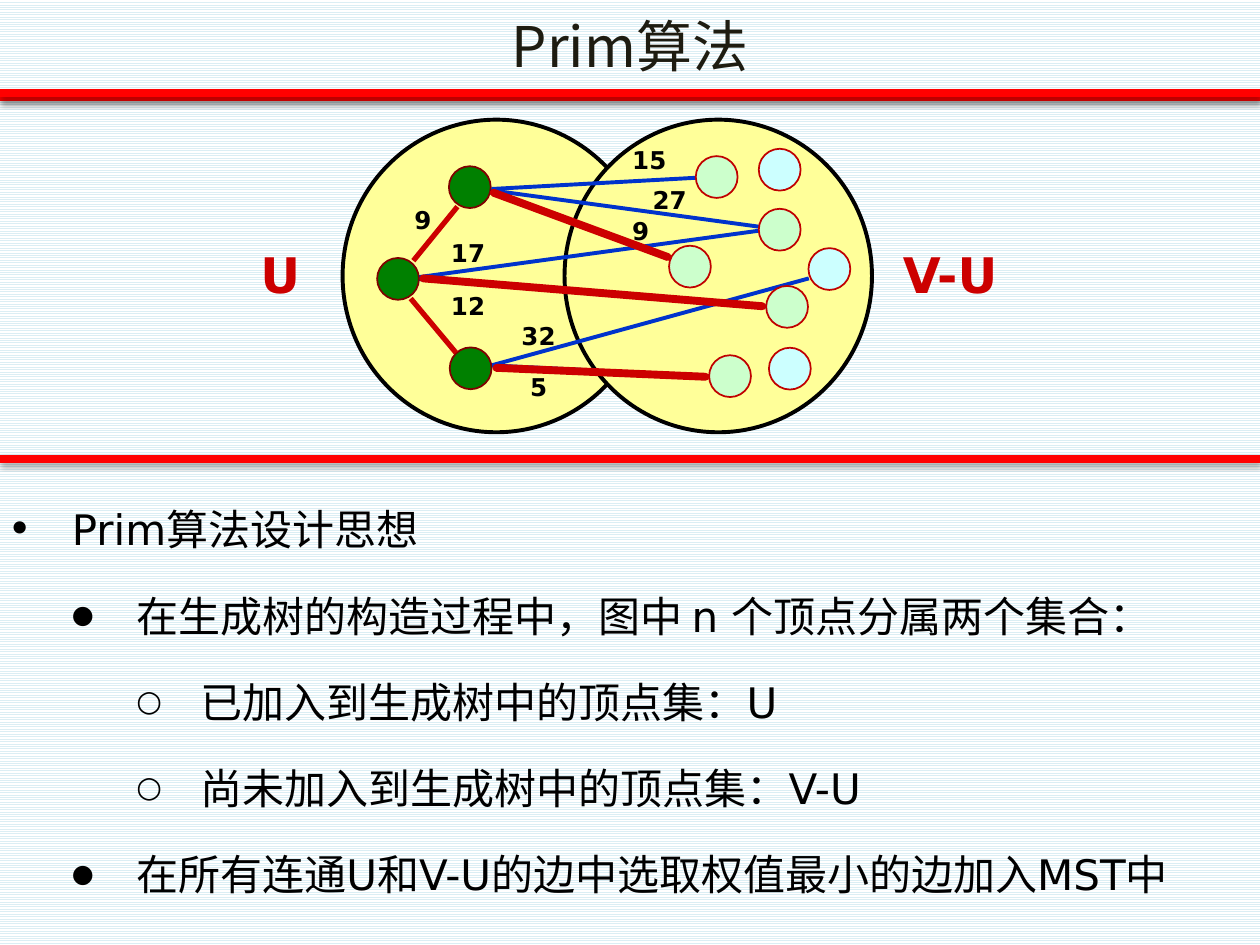
from lxml.etree import SubElement
from pptx import Presentation
from pptx.dml.color import RGBColor
from pptx.enum.dml import MSO_PATTERN
from pptx.enum.shapes import MSO_CONNECTOR, MSO_SHAPE
from pptx.enum.text import MSO_ANCHOR, MSO_AUTO_SIZE, PP_ALIGN
from pptx.oxml.ns import qn
from pptx.util import Pt

BLACK = RGBColor(0x00, 0x00, 0x00)
WHITE = RGBColor(0xFF, 0xFF, 0xFF)
STRIPE = RGBColor(0xDB, 0xEE, 0xF4)
TITLE_INK = RGBColor(0x1E, 0x1C, 0x11)
RULE_RED = RGBColor(0xFF, 0x00, 0x00)
EDGE_RED = RGBColor(0xCC, 0x00, 0x00)
EDGE_BLUE = RGBColor(0x00, 0x33, 0xCC)
SET_YELLOW = RGBColor(0xFF, 0xFF, 0x99)
TREE_GREEN = RGBColor(0x00, 0x80, 0x00)
TREE_RIM = RGBColor(0x80, 0x00, 0x00)
NEAR_GREEN = RGBColor(0xCC, 0xFF, 0xCC)
FAR_BLUE = RGBColor(0xCC, 0xFF, 0xFF)
OUTER_RIM = RGBColor(0xC0, 0x00, 0x00)

LATIN_FONT = "DejaVu Sans"
CJK_FONT = "Noto Sans CJK SC"
NODE_SIZE = 23.9
SET_SIZE = (175.7, 178.6)
INDENT = 36.8

TREE_NODES = [(256.5, 95), (215.5, 147.4), (257, 198.5)]
NEAR_NODES = [(437.8, 163.4), (382.3, 140.4), (405.2, 203),
              (397.6, 89.2), (433.6, 119.3)]
FAR_NODES = [(433.6, 85), (462, 141.8), (439.4, 198.7)]

CROSSING_EDGES = [
    (280.8, 108, 399.6, 101.5), (234, 159.1, 445, 175.7),
    (280.8, 208.8, 411.1, 215.3), (280.8, 208.8, 462.2, 159.1),
    (275, 108, 439.2, 130.3), (234, 159.1, 445, 130.3),
    (275, 108, 382.3, 147.6),
]
LIGHTEST_EDGES = [
    (241.9, 159.1, 435.6, 175), (282.2, 110.2, 381.6, 146.9),
    (283.7, 210.2, 403.2, 215.3),
]
TREE_EDGES = [(236.2, 149, 261.4, 118.1), (234.7, 170.6, 260.6, 201.6)]
WEIGHTS = [
    ("15", 354.2, 79.2), ("27", 365.8, 102.2), ("9", 354.2, 120.2),
    ("17", 250.6, 132.5), ("12", 250.6, 162.7), ("32", 290.9, 180),
    ("5", 295.9, 208.8), ("9", 229.7, 113.8),
]
# text, indent steps, bullet, bullet size in percent
IDEAS = [
    ("Prim算法设计思想", 1, "•", 100),
    ("在生成树的构造过程中，图中 n 个顶点分属两个集合：", 2, "●", 60),
    ("已加入到生成树中的顶点集：U", 3, "○", 70),
    ("尚未加入到生成树中的顶点集：V-U", 3, "○", 70),
    ("在所有连通U和V-U的边中选取权值最小的边加入MST中", 2, "●", 60),
]


def style_para(para, size, color, bold=False, font=LATIN_FONT):
    para.font.name = font
    para.font.size = Pt(size)
    para.font.bold = bold
    para.font.color.rgb = color
    latin = para._p.pPr.find(qn("a:defRPr")).find(qn("a:latin"))
    east_asian = latin.makeelement(qn("a:ea"), typeface=CJK_FONT)
    latin.addnext(east_asian)


def add_text_box(page, left, top, width, height):
    box = page.shapes.add_textbox(Pt(left), Pt(top), Pt(width), Pt(height))
    box.text_frame.word_wrap = True
    return box.text_frame


def add_heading(page, text, bounds, size, color, **style):
    """Add one centred line of text."""
    frame = add_text_box(page, *bounds)
    para = frame.paragraphs[0]
    para.text = text
    para.alignment = PP_ALIGN.CENTER
    style_para(para, size, color, **style)
    return frame


def add_weight(page, text, left, top):
    frame = add_text_box(page, left, top, 34.6 if len(text) > 1 else 24.5, 23.8)
    frame.word_wrap = False
    frame.auto_size = MSO_AUTO_SIZE.SHAPE_TO_FIT_TEXT
    frame.paragraphs[0].text = text
    style_para(frame.paragraphs[0], 14, BLACK, bold=True)


def add_circle(page, left, top, width, height, fill, rim, rim_width=1):
    circle = page.shapes.add_shape(
        MSO_SHAPE.OVAL, Pt(left), Pt(top), Pt(width), Pt(height))
    circle.shadow.inherit = False
    circle.fill.solid()
    circle.fill.fore_color.rgb = fill
    circle.line.color.rgb = rim
    circle.line.width = Pt(rim_width)


def add_nodes(page, places, fill, rim):
    for left, top in places:
        add_circle(page, left, top, NODE_SIZE, NODE_SIZE, fill, rim)


def add_line(page, ends, color, width, round_cap=False):
    """Add a straight line and return its empty effect list."""
    line = page.shapes.add_connector(
        MSO_CONNECTOR.STRAIGHT, *(Pt(value) for value in ends))
    line.line.color.rgb = color
    line.line.width = Pt(width)
    properties = line._element.spPr
    if round_cap:
        properties.find(qn("a:ln")).set("cap", "rnd")
    return SubElement(properties, qn("a:effectLst"))


def add_rule(page, top):
    """Add a red line across the page with a soft shadow below it."""
    effects = add_line(page, (0, top, 720, top), RULE_RED, 4.5)
    shadow = SubElement(
        effects, qn("a:outerShdw"), blurRad=str(Pt(3.1)), dist=str(Pt(1.8)),
        dir="5400000", rotWithShape="0")
    color = SubElement(shadow, qn("a:srgbClr"), val=str(BLACK))
    SubElement(color, qn("a:alpha"), val="35000")


def add_bullet(para, steps, symbol, percent):
    properties = para._p.get_or_add_pPr()
    properties.set("marL", str(Pt(INDENT * steps)))
    properties.set("indent", str(-Pt(INDENT)))
    color = SubElement(properties, qn("a:buClr"))
    SubElement(color, qn("a:srgbClr"), val=str(BLACK))
    SubElement(properties, qn("a:buSzPct"), val=str(percent * 1000))
    SubElement(properties, qn("a:buFont"), typeface=LATIN_FONT)
    SubElement(properties, qn("a:buChar"), char=symbol)


def add_ideas(page):
    frame = add_text_box(page, 4.3, 273.6, 705.6, 254.9)
    frame.margin_left = frame.margin_right = 0
    frame.margin_top = frame.margin_bottom = 0
    for index, (text, steps, symbol, percent) in enumerate(IDEAS):
        para = frame.add_paragraph() if index else frame.paragraphs[0]
        para.text = text
        para.level = steps - 1
        para.line_spacing = 1.5
        para.space_before = Pt(6 if index else 0)
        add_bullet(para, steps, symbol, percent)
        style_para(para, 24, BLACK)


def add_graph(page):
    for name, left, width in (("U", 133.2, 54), ("V-U", 493.2, 99.4)):
        add_heading(page, name, (left, 136.1, width, 36), 28, EDGE_RED, bold=True)
    for left in (195.8, 322.6):
        add_circle(page, left, 68.4, *SET_SIZE, SET_YELLOW, BLACK, 2.25)
    for ends in CROSSING_EDGES:
        add_line(page, ends, EDGE_BLUE, 2.25)
    add_nodes(page, TREE_NODES, TREE_GREEN, TREE_RIM)
    add_nodes(page, NEAR_NODES, NEAR_GREEN, OUTER_RIM)
    for ends in LIGHTEST_EDGES:
        add_line(page, ends, EDGE_RED, 4.5, round_cap=True)
    add_nodes(page, FAR_NODES, FAR_BLUE, OUTER_RIM)
    for ends in TREE_EDGES:
        add_line(page, ends, EDGE_RED, 3)
    for weight in WEIGHTS:
        add_weight(page, *weight)


def main():
    deck = Presentation()
    deck.slide_width, deck.slide_height = Pt(720), Pt(540)
    page = deck.slides.add_slide(deck.slide_layouts[6])
    backdrop = page.background.fill
    backdrop.patterned()
    backdrop.pattern = MSO_PATTERN.LIGHT_HORIZONTAL
    backdrop.fore_color.rgb = STRIPE
    backdrop.back_color.rgb = WHITE

    for top in (55.4, 53.3):
        add_rule(page, top)
    add_ideas(page)
    add_graph(page)
    title = add_heading(page, "Prim算法", (0, 1.4, 720, 49), 32, TITLE_INK,
                        font=CJK_FONT)
    title.vertical_anchor = MSO_ANCHOR.MIDDLE
    add_rule(page, 262.1)
    deck.save("out.pptx")


if __name__ == "__main__":
    main()
